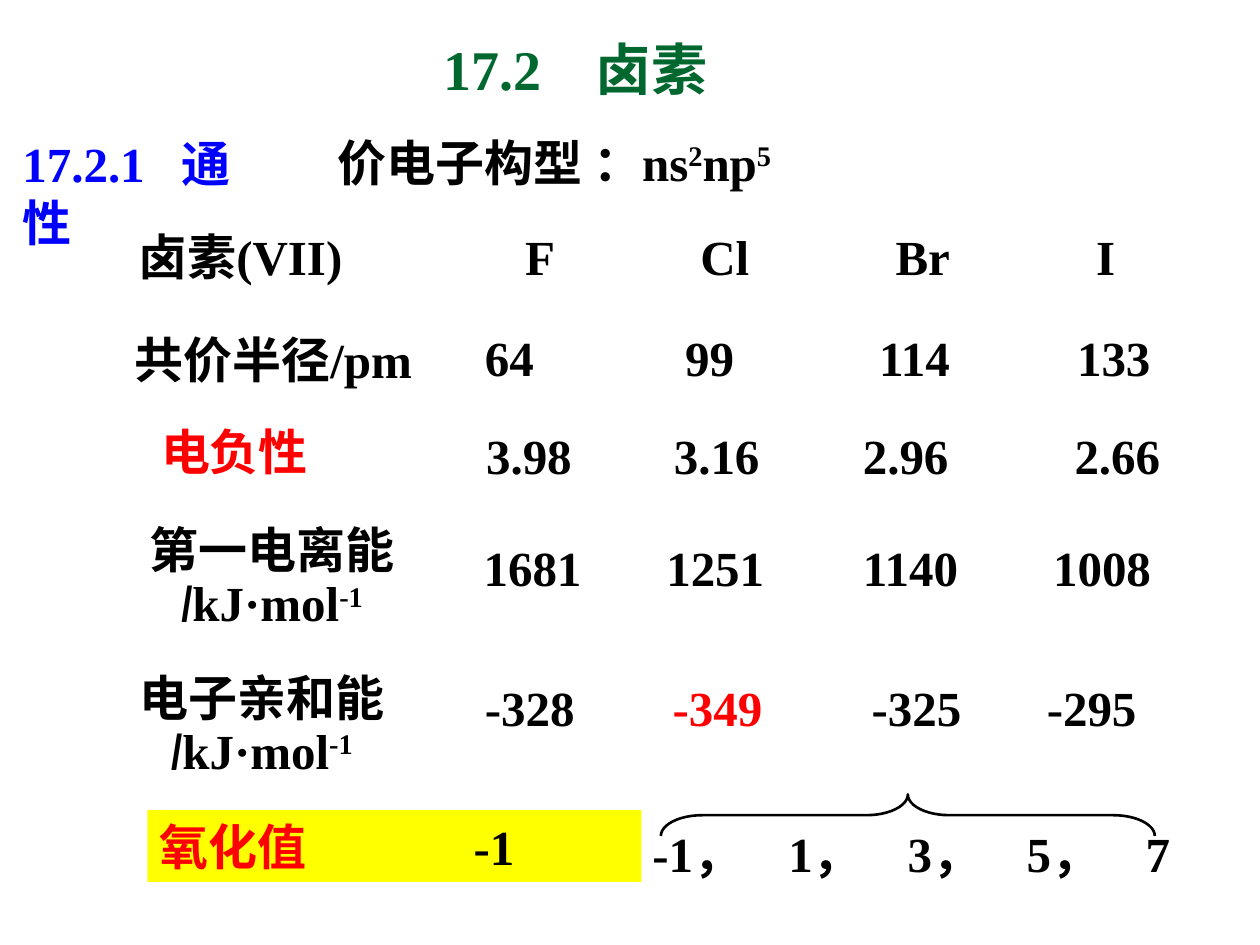
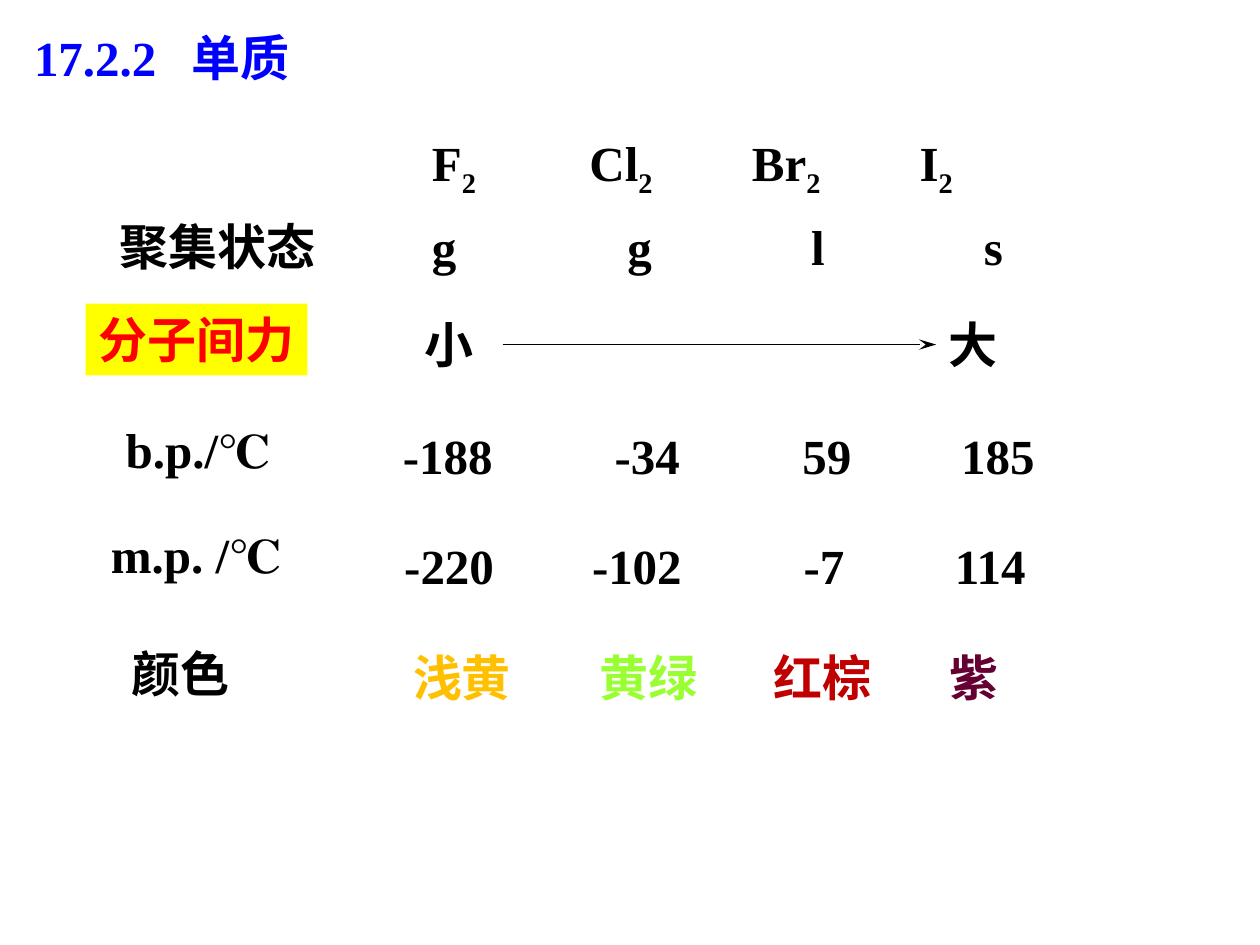
"""Build two slides on the general properties and elements of the halogens."""
import pptx
import pptx.dml.color
import pptx.enum.shapes
import pptx.enum.text
import pptx.oxml
import pptx.oxml.ns
import pptx.util
from lxml import etree

Inches = pptx.util.Inches
qn = pptx.oxml.ns.qn
BLACK, BLUE, GREEN, RED, YELLOW = "000000", "0000FF", "00682F", "FF0000", "FFFF00"
SERIF, NARROW = "Times New Roman", "Arial Narrow"
INSET = 0.1
SUPER, SUB = {"baseline": 30000}, {"baseline": -25000}


def colour(value):
    """Turn a hex string into a colour."""
    return pptx.dml.color.RGBColor.from_string(value)


def write(page, bounds, paragraphs, tabs=(), box=None, fill=None,
          align="LEFT", spacing=None, size=28, color=BLACK, name=SERIF):
    """Place text; tabs are distances from the left edge of the slide."""
    left, top, width, height = (Inches(value) for value in bounds)
    if box is None and fill:
        box = page.shapes.add_shape(pptx.enum.shapes.MSO_SHAPE.RECTANGLE, left, top, width, height)
        box.shadow.inherit = False
        box.fill.solid()
        box.fill.fore_color.rgb = colour(fill)
        box.line.fill.background()
    elif box is None:
        box = page.shapes.add_textbox(left, top, width, height)
    else:
        box.left, box.top, box.width, box.height = left, top, width, height
    frame = box.text_frame
    is_title = box.is_placeholder
    settings = {
        "word_wrap": True,
        "auto_size": pptx.enum.text.MSO_AUTO_SIZE.NONE if is_title
        else pptx.enum.text.MSO_AUTO_SIZE.SHAPE_TO_FIT_TEXT,
        "vertical_anchor": pptx.enum.text.MSO_ANCHOR.MIDDLE if is_title
        else pptx.enum.text.MSO_ANCHOR.TOP,
        "margin_left": Inches(INSET), "margin_right": Inches(INSET),
        "margin_top": Inches(0.05), "margin_bottom": Inches(0.05),
    }
    for key, value in settings.items():
        setattr(frame, key, value)
    for index, spans in enumerate(paragraphs):
        para = frame.add_paragraph() if index else frame.paragraphs[0]
        para.alignment = pptx.enum.text.PP_ALIGN[align]
        para.space_before = pptx.util.Pt(0)
        if spacing:
            para.line_spacing = spacing
        if tabs:
            stops = etree.SubElement(para._p.get_or_add_pPr(), qn("a:tabLst"))
            for stop in tabs:
                position = Inches(stop - bounds[0] - INSET)
                etree.SubElement(stops, qn("a:tab"), pos=str(position), algn="l")
        for text, changes in spans:
            span = para.add_run()
            span.text = text
            look = {"size": pptx.util.Pt(size), "bold": True, "name": changes.get("name", name)}
            for key, value in look.items():
                setattr(span.font, key, value)
            span.font.color.rgb = colour(changes.get("color", color))
            if "baseline" in changes:
                span._r.get_or_add_rPr().set("baseline", str(changes["baseline"]))
    return box


deck = pptx.Presentation()
deck.slide_width, deck.slide_height = Inches(10), Inches(7.5)
title_only = deck.slide_layouts[5]

page = deck.slides.add_slide(title_only)
write(page, (3.42, 0.08, 2.83, 0.92), [[("17.2\t卤素", {})]], [4.73],
      box=page.shapes.title, size=32, color=GREEN)
write(page, (0.08, 1.01, 2.17, 1.04), [[("17.2.1\t通性", {})]], [1.44], color=BLUE)
write(page, (2.58, 1, 4.33, 0.57),
      [[("价电子构型 ：", {"name": NARROW}), ("ns", {}), ("2", SUPER), ("np", {}), ("5", SUPER)]])
write(page, (1, 1.75, 8.08, 0.57), [[("卤素(VII)\tF\tCl\tBr\tI", {})]], [4.17, 5.56, 7.11, 8.7])

row_labels = [
    ((0.97, 2.52, 2.7, 0.62), "共价半径/pm", {}),
    ((1.18, 3.25, 1.5, 0.62), "电负性", {"color": RED, "name": NARROW}),
]
for bounds, label, look in row_labels:
    write(page, bounds, [[(label, look)]], spacing=1.1)

energy_unit = [("/", {"name": NARROW}), ("kJ·mol", {}), ("-1", SUPER)]
for left, top, label in [(1.01, 4.13, "第一电离能"), (0.93, 5.3, "电子亲和能")]:
    write(page, (left, top, 2.3, 0.94), [[(label, {"name": NARROW})], energy_unit],
          align="CENTER", spacing=0.9)

value_rows = [
    (2.5, [(3.75, "64"), (5.34, "99"), (6.88, "114"), (8.45, "133")]),
    (3.28, [(3.76, "3.98"), (5.25, "3.16"), (6.75, "2.96"), (8.43, "2.66")]),
    (4.17, [(3.74, "1681"), (5.19, "1251"), (6.75, "1140"), (8.26, "1008")]),
]
for top, cells in value_rows:
    for left, value in cells:
        write(page, (left, top, 1.06, 0.62), [[(value, {})]], spacing=1.1)
write(page, (3.75, 5.33, 5.5, 0.57),
      [[("-328", {}), ("\t-349", {"color": RED}), ("\t-325\t-295", {})]], [5.34, 6.92, 8.31])

brace = page.shapes.add_shape(pptx.enum.shapes.MSO_SHAPE.LEFT_BRACE,
                              Inches(7.04), Inches(4.51), Inches(0.33), Inches(3.92))
brace.rotation = 90
brace.adjustments[0] = 1
brace.shadow.inherit = False
brace.fill.background()
brace.line.color.rgb = colour(BLACK)
brace.line.width = pptx.util.Pt(1.5)
write(page, (1.17, 6.43, 3.92, 0.57), [[("氧化值", {"color": RED}), ("\t-1", {})]],
      [3.76], fill=YELLOW)
write(page, (5.08, 6.49, 4.4, 0.57), [[("-1，\t1，\t3，\t5，\t7", {})]],
      [6.26 + 0.945 * step for step in range(4)])

page = deck.slides.add_slide(title_only)
write(page, (0.17, 0.17, 2.83, 0.57), [[("17.2.2\t单质", {})]], [1.52],
      box=page.shapes.title, color=BLUE)

formula = []
for index, element in enumerate(["F", "Cl", "Br", "I"]):
    formula += [("\t" + element if index else element, {}), ("2", SUB)]
write(page, (3.33, 1, 5.67, 0.63), [formula], [4.68, 5.97, 7.3])

property_labels = [
    ((0.8, 1.67, 1.85, 0.57), "聚集状态", {}),
    ((0.68, 2.41, 1.76, 0.57), "分子间力", {"fill": YELLOW, "color": RED}),
    ((0.83, 3.28, 1.5, 0.57), "b.p./℃", {}),
    ((0.67, 4.11, 1.79, 0.57), "m.p. /℃", {}),
    ((0.83, 5.06, 1.2, 0.57), "颜色", {}),
    ((3.27, 2.45, 0.59, 0.57), "小", {}),
]
for bounds, label, look in property_labels:
    write(page, bounds, [[(label, {})]], align="CENTER", **look)

property_rows = [
    ((3.33, 1.67, 4.91, 0.57), "g\tg\tl\ts", [4.98, 6.44, 7.81]),
    ((3.1, 3.33, 5.56, 0.57), "-188\t-34\t59\t185", [4.88, 6.37, 7.63]),
    ((3.11, 4.2, 5.55, 0.57), "-220\t-102\t-7\t114", [4.7, 6.38, 7.58]),
]
for bounds, values, tabs in property_rows:
    write(page, bounds, [[(values, {})]], tabs)
write(page, (3.18, 5.09, 5.05, 0.57),
      [[("浅黄", {"color": "FFC000"}), ("\t黄绿", {"color": "99FF33"}),
        ("\t红棕", {"color": "C00000"}), ("\t紫", {"color": "660033"})]], [4.76, 6.14, 7.54])

large = write(page, (7.43, 2.45, 0.59, 0.57), [[("大", {})]], align="CENTER")
middle = large.top + large.height // 2
arrow = page.shapes.add_connector(pptx.enum.shapes.MSO_CONNECTOR.STRAIGHT,
                                  Inches(3.99), middle, large.left, middle)
arrow.end_connect(large, 1)
arrow.line.color.rgb = colour(BLACK)
arrow.line.width = pptx.util.Pt(0.75)
etree.SubElement(arrow.line._get_or_add_ln(), qn("a:tailEnd"), type="stealth", w="med", len="lg")
etree.SubElement(arrow._element.spPr, qn("a:effectLst"))

deck.save("out.pptx")
